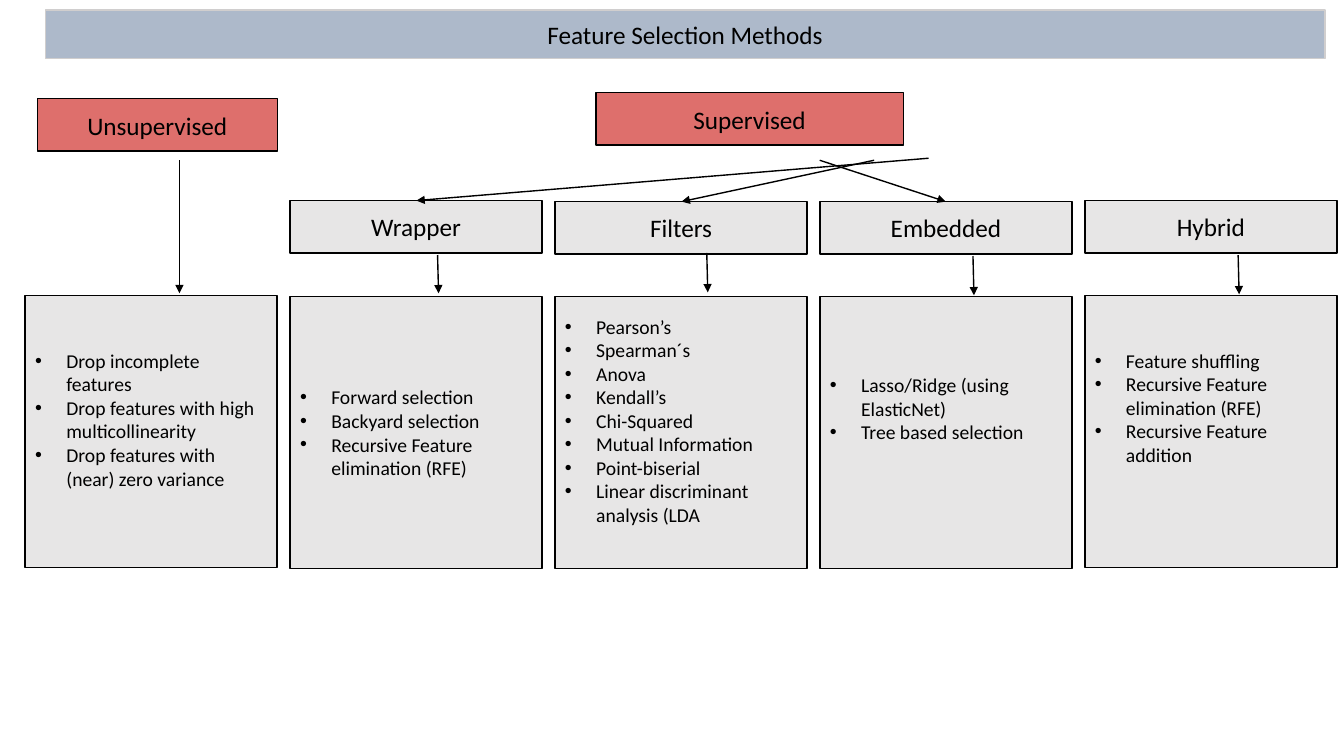
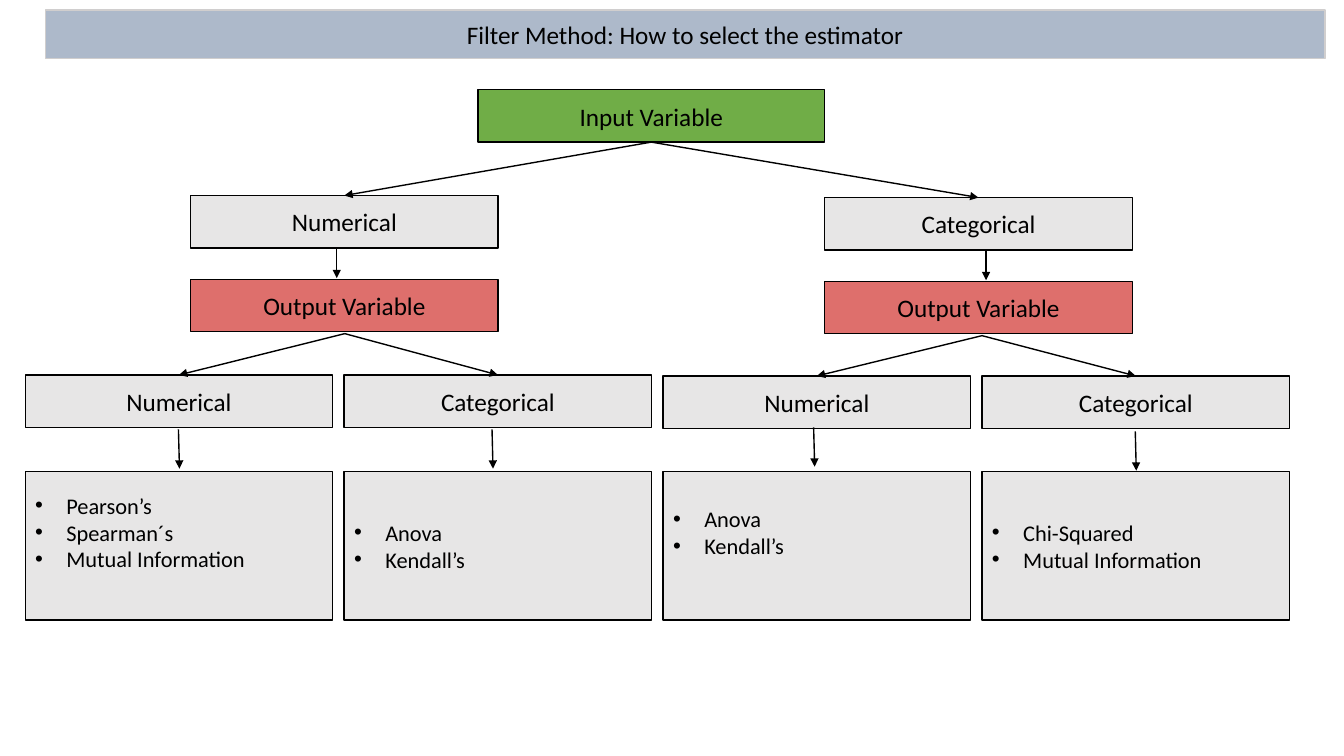
from lxml.etree import SubElement
from pptx import Presentation
from pptx.dml.color import RGBColor
from pptx.enum.shapes import MSO_CONNECTOR, MSO_SHAPE
from pptx.enum.text import MSO_ANCHOR, PP_ALIGN
from pptx.oxml.ns import qn
from pptx.util import Inches, Pt

BLACK = RGBColor(0x00, 0x00, 0x00)
GRAY = RGBColor(0xE7, 0xE6, 0xE6)
EDGE = RGBColor(0xD0, 0xCE, 0xCE)
BLUE = RGBColor(0xAD, 0xB9, 0xCA)
RED = RGBColor(0xDE, 0x6F, 0x6C)
GREEN = RGBColor(0x70, 0xAD, 0x47)
FONT = "Calibri"
LEFT, HEAD = 0.25, 0.52    # first column, height of a heading box

# Methods: heading, heading top, list top, lines to lift the list, items
METHODS = [
    (None, None, 2.93, 1, ["Drop incomplete features",
                           "Drop features with high multicollinearity",
                           "Drop features with (near) zero variance"]),
    ("Wrapper", 1.99, 2.94, 0, ["Forward selection", "Backyard selection",
                                "Recursive Feature elimination (RFE)"]),
    ("Filters", 2, 2.94, 1, ["Pearson’s", "Spearman´s", "Anova", "Kendall’s",
                             "Chi-Squared", "Mutual Information",
                             "Point-biserial",
                             "Linear discriminant analysis (LDA"]),
    ("Embedded", 2, 2.94, 2, ["Lasso/Ridge (using ElasticNet)",
                              "Tree based selection"]),
    ("Hybrid", 1.99, 2.93, 2, ["Feature shuffling",
                               "Recursive Feature elimination (RFE)",
                               "Recursive Feature addition"]),
]
GROUPS = [("Unsupervised", 0.37, 0.98, 2.38), ("Supervised", 5.91, 0.92, 3.05)]
LINKS = [
    (8.67, 1.59, 6.76, 2), (8.13, 1.59, 9.38, 2), (9.21, 1.57, 4.13, 1.99),
    (1.78, 1.59, 1.78, 2.91), (4.34, 2.53, 4.35, 2.91),
    (7.01, 2.51, 7.02, 2.9), (9.65, 2.54, 9.66, 2.93),
    (12.28, 2.53, 12.29, 2.92),
]

# Sides: input type, box left, top, arrow x, fork x, heading top
SIDES = [("Numerical", 1.89, 1.94, 3.34, 3.42, 3.72),
         ("Categorical", 8.18, 1.96, 9.78, 9.74, 3.73)]
# Tests: lines to lift the list, arrow start, items
TESTS = [
    (1, (1.77, 4.26), ["Pearson’s", "Spearman´s", "Mutual Information"]),
    (0, (4.88, 4.26), ["Anova", "Kendall’s"]),
    (1, (8.07, 4.24), ["Anova", "Kendall’s"]),
    (0, (11.26, 4.28), ["Chi-Squared", "Mutual Information"]),
]

deck = Presentation()
deck.slide_width, deck.slide_height = Inches(13.33), Inches(7.5)


def write(frame, text, size=18, bullet=False, lift=0):
    """Write one line, or a list of bullets raised by lift empty lines."""
    frame.word_wrap = True
    frame.vertical_anchor = MSO_ANCHOR.MIDDLE
    frame.margin_bottom = Inches(0.05 + lift * size * 1.22 / 72)
    for i, line in enumerate(text if bullet else [text]):
        para = frame.add_paragraph() if i else frame.paragraphs[0]
        para.alignment = PP_ALIGN.LEFT if bullet else PP_ALIGN.CENTER
        run = para.add_run()
        run.text = line
        run.font.name, run.font.size = FONT, Pt(size)
        run.font.color.rgb = BLACK
        if bullet:
            props = para._p.get_or_add_pPr()
            props.set("marL", str(Inches(0.31)))
            props.set("indent", str(-Inches(0.31)))
            SubElement(props, qn("a:buFont")).set("typeface", "Arial")
            SubElement(props, qn("a:buChar")).set("char", "•")


def box(slide, text, x, y, w, h=HEAD, fill=GRAY, line=BLACK, **style):
    shape = slide.shapes.add_shape(MSO_SHAPE.RECTANGLE, Inches(x), Inches(y),
                                   Inches(w), Inches(h))
    shape.shadow.inherit = False
    shape.fill.solid()
    shape.fill.fore_color.rgb = fill
    shape.line.color.rgb = line
    shape.line.width = Pt(1)
    write(shape.text_frame, text, **style)


def arrow(slide, *ends):
    link = slide.shapes.add_connector(MSO_CONNECTOR.STRAIGHT,
                                      *[Inches(end) for end in ends])
    link.line.color.rgb = BLACK
    link.line.width = Pt(1)
    SubElement(link.line._get_or_add_ln(), qn("a:tailEnd")).set(
        "type", "triangle")
    SubElement(link._element.spPr, qn("a:effectLst"))


def page(title):
    slide = deck.slides.add_slide(deck.slide_layouts[6])
    box(slide, title, 0.45, 0.1, 12.69, 0.48, fill=BLUE, line=EDGE)
    return slide


# Slide 1: families of methods
slide = page("Feature Selection Methods")
wide, step = 2.5, (10.76 - LEFT) / 4
for name, x, y, w in GROUPS:
    box(slide, name, x, y, w, fill=RED)
for i, (name, top, low, lift, items) in enumerate(METHODS):
    x = LEFT + i * step
    if name:
        box(slide, name, x, top, wide)
    box(slide, items, x, low, wide, 2.7, size=14, bullet=True, lift=lift)
for ends in LINKS:
    arrow(slide, *ends)

# Slide 2: decision tree, from input type to output type to tests
slide = page("Filter Method: How to select the estimator")
wide, step = 3.05, (9.74 - LEFT) / 3
box(slide, "Input Variable", 4.74, 0.89, 3.44, fill=GREEN)
for i, (name, x, y, stem, fork, top) in enumerate(SIDES):
    box(slide, name, x, y, wide)
    box(slide, "Output Variable", x, y + 0.83, wide, fill=RED)
    arrow(slide, 6.46, 1.41, x + wide / 2, y)
    arrow(slide, stem, y + 0.53, stem, y + 0.82)
    for j, kind in enumerate(["Numerical", "Categorical"]):
        left = LEFT + (2 * i + j) * step
        box(slide, kind, left, top, wide)
        arrow(slide, fork, y + 1.37, left + wide / 2, top)
for i, (lift, (x, y), items) in enumerate(TESTS):
    box(slide, items, LEFT + i * step, 4.68, wide, 1.47,
        size=16, bullet=True, lift=lift)
    arrow(slide, x, y, x + 0.01, y + 0.39)

deck.save("out.pptx")
